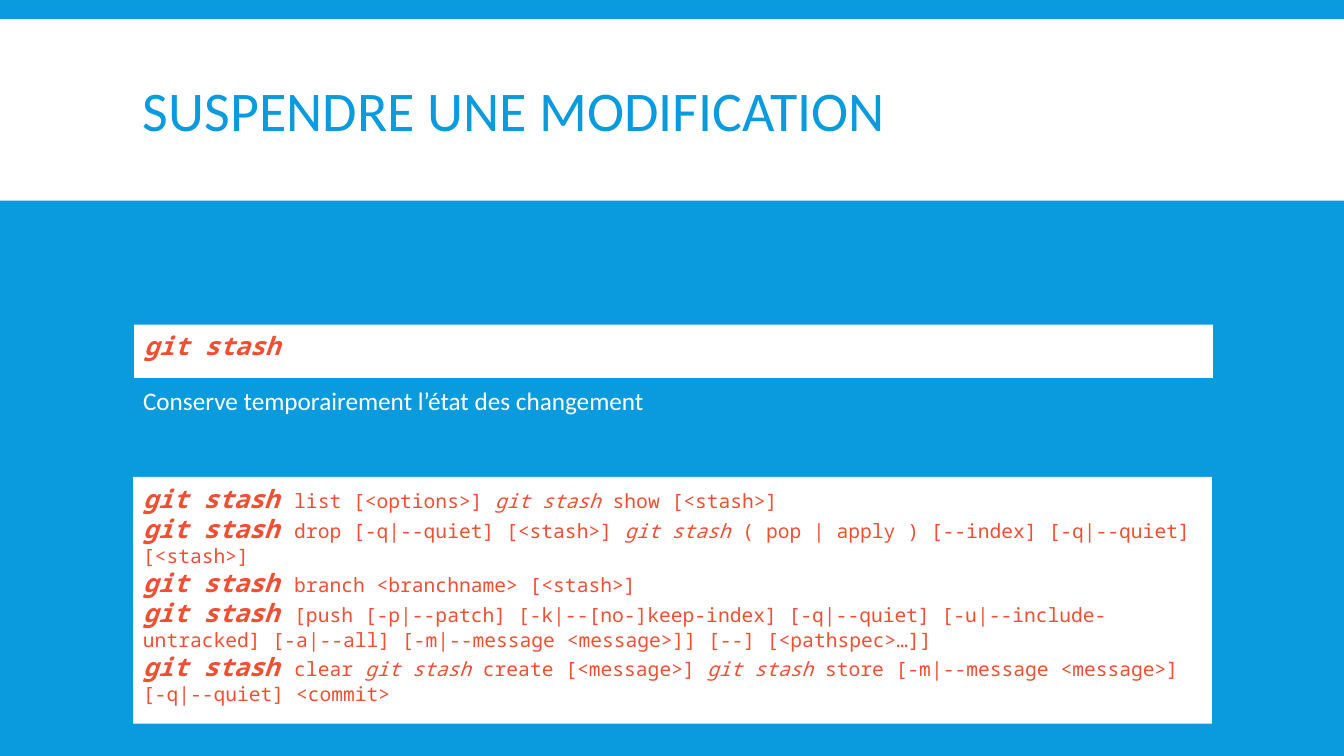
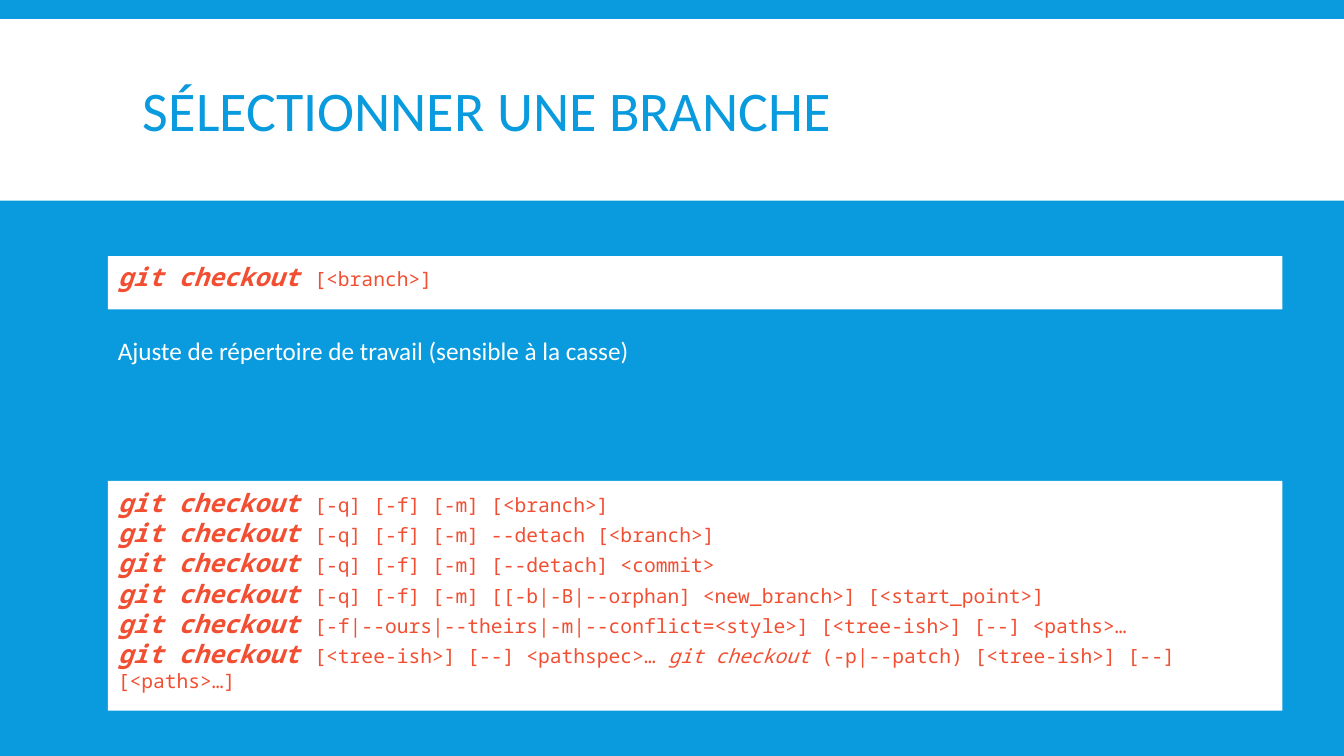
from pptx import Presentation
from pptx.dml.color import RGBColor
from pptx.enum.shapes import MSO_SHAPE
from pptx.enum.text import MSO_ANCHOR, MSO_AUTO_SIZE, PP_ALIGN
from pptx.util import Emu, Pt

SCALE = 9144
BLUE, WHITE, ORANGE = "099BDD", "FFFFFF", "F14E32"
SANS, MONO = "Calibri", "Noto Sans Mono"


def px(length):
    """Turn hundredths of an inch into EMU."""
    return Emu(length * SCALE)


def color(value):
    """Turn a hex string into a colour."""
    return RGBColor.from_string(value)


def write(frame, paragraphs, font=SANS, fill=WHITE, anchor=MSO_ANCHOR.TOP,
          bottom=5, spacing=None, fit=MSO_AUTO_SIZE.NONE):
    """Write paragraphs of (text, size, bold, italic) runs into a frame."""
    frame.word_wrap = True
    frame.auto_size = fit
    frame.vertical_anchor = anchor
    frame.margin_left = frame.margin_right = px(10)
    frame.margin_top, frame.margin_bottom = px(5), px(bottom)
    for index, runs in enumerate(paragraphs):
        paragraph = frame.add_paragraph() if index else frame.paragraphs[0]
        paragraph.alignment = PP_ALIGN.LEFT
        if spacing:
            paragraph.line_spacing = spacing
        for words, size, bold, italic in runs:
            run = paragraph.add_run()
            run.text = words
            run.font.name, run.font.size = font, Pt(size)
            run.font.bold, run.font.italic = bold, italic
            run.font.color.rgb = color(fill)


def command_runs(command, rest):
    """Lead with the bold command and slant its later mentions."""
    runs = [(f"{command} " if rest else command, 18, True, True)]
    for index, part in enumerate(rest.split(command)):
        if index:
            runs.append((command, 14, False, True))
        if part:
            runs.append((part, 14, False, False))
    return runs


class Deck:
    """Hold the shared style and the current slide."""

    def __init__(self):
        """Start a wide presentation."""
        self.presentation = Presentation()
        self.presentation.slide_width = px(1333)
        self.presentation.slide_height = px(750)
        self.slide = None

    def rectangle(self, left, top, width, height):
        """Add a plain white rectangle."""
        panel = self.slide.shapes.add_shape(
            MSO_SHAPE.RECTANGLE, px(left), px(top), px(width), px(height))
        panel.shadow.inherit = False
        panel.fill.solid()
        panel.fill.fore_color.rgb = color(WHITE)
        panel.line.fill.background()
        return panel

    def text(self, left, top, width, height, words, size, **style):
        """Add a line of text in its own box."""
        box = self.slide.shapes.add_textbox(px(left), px(top), px(width), px(height))
        write(box.text_frame, [[(words, size, False, False)]], **style)

    def page(self, title):
        """Start a blue slide with a title on its white band."""
        self.slide = self.presentation.slides.add_slide(self.presentation.slide_layouts[6])
        self.slide.background.fill.solid()
        self.slide.background.fill.fore_color.rgb = color(BLUE)
        self.rectangle(0, 19, 1333, 180)
        self.text(132, 31, 1070, 165, title, 40, fill=BLUE,
                  anchor=MSO_ANCHOR.MIDDLE, spacing=0.85)

    def commands(self, left, top, width, height, command, usages):
        """Add a white panel with one usage of the command a line."""
        panel = self.rectangle(left, top, width, height)
        write(panel.text_frame, [command_runs(command, usage) for usage in usages],
              font=MONO, fill=ORANGE, anchor=MSO_ANCHOR.MIDDLE, bottom=17,
              fit=MSO_AUTO_SIZE.SHAPE_TO_FIT_TEXT)

    def caption(self, left, top, words):
        """Add the explanation below a command."""
        self.text(left, top, 895, 40, words, 18, fit=MSO_AUTO_SIZE.SHAPE_TO_FIT_TEXT)


def main():
    """Build both slides and save them."""
    deck = Deck()

    deck.page("SUSPENDRE UNE MODIFICATION")
    deck.commands(132, 473, 1070, 245, "git stash", [
        "list [<options>] git stash show [<stash>]",
        "drop [-q|--quiet] [<stash>] git stash ( pop | apply ) [--index] [-q|--quiet] [<stash>]",
        "branch <branchname> [<stash>]",
        "[push [-p|--patch] [-k|--[no-]keep-index] [-q|--quiet] [-u|--include-untracked] "
        "[-a|--all] [-m|--message <message>]] [--] [<pathspec>…]]",
        "clear git stash create [<message>] git stash store "
        "[-m|--message <message>] [-q|--quiet] <commit>",
    ])
    deck.commands(133, 322, 1070, 53, "git stash", [""])
    deck.caption(132, 377, "Conserve temporairement l’état des changement")

    deck.page("SÉLECTIONNER UNE BRANCHE")
    deck.commands(107, 477, 1165, 228, "git checkout", [
        "[-q] [-f] [-m] [<branch>]",
        "[-q] [-f] [-m] --detach [<branch>]",
        "[-q] [-f] [-m] [--detach] <commit>",
        "[-q] [-f] [-m] [[-b|-B|--orphan] <new_branch>] [<start_point>]",
        "[-f|--ours|--theirs|-m|--conflict=<style>] [<tree-ish>] [--] <paths>…",
        "[<tree-ish>] [--] <pathspec>… git checkout (-p|--patch) [<tree-ish>] [--] [<paths>…]",
    ])
    deck.commands(107, 254, 1165, 53, "git checkout", ["[<branch>]"])
    deck.caption(107, 328, "Ajuste de répertoire de travail (sensible à la casse)")

    deck.presentation.save("out.pptx")


if __name__ == "__main__":
    main()
